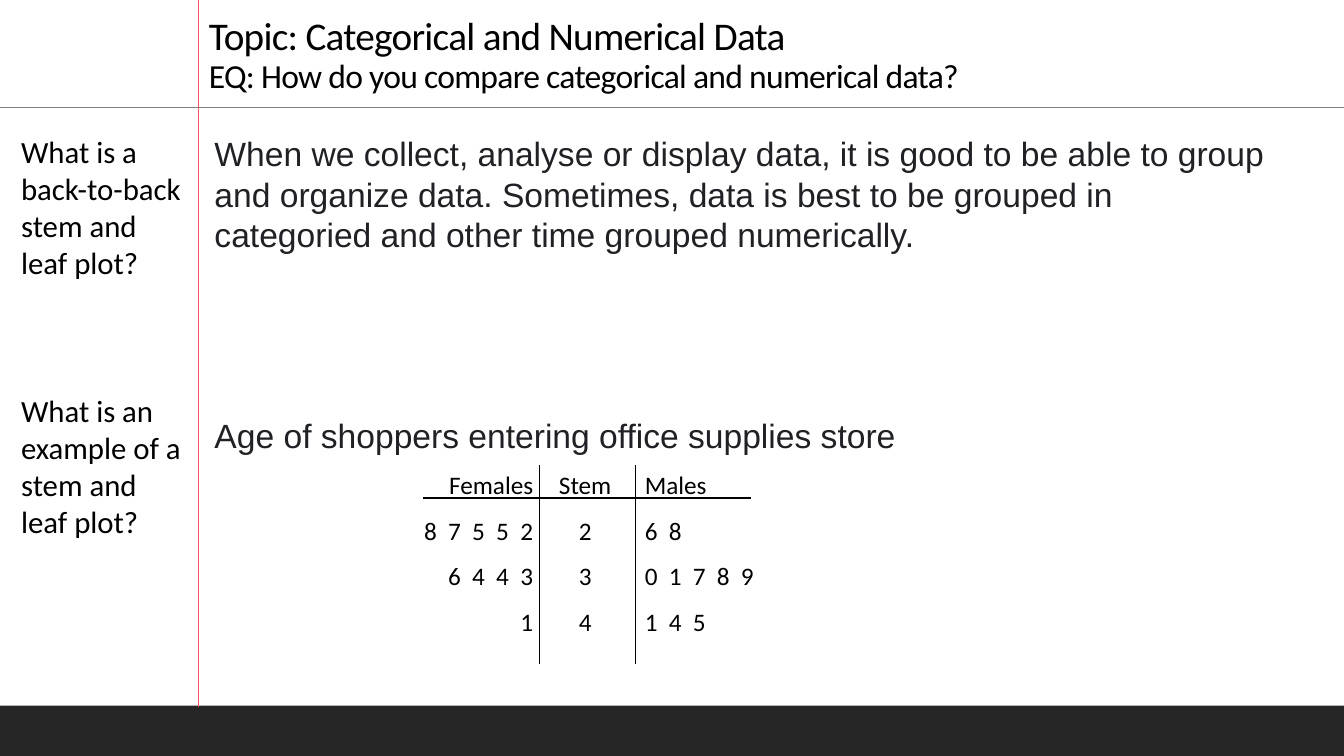
from pptx import Presentation
from pptx.dml.color import RGBColor
from pptx.enum.shapes import MSO_CONNECTOR, MSO_SHAPE
from pptx.enum.text import MSO_ANCHOR, MSO_AUTO_SIZE, PP_ALIGN
from pptx.oxml.ns import qn
from pptx.util import Pt
from lxml.etree import SubElement

BLACK = RGBColor(0, 0, 0)
INK = RGBColor(0x20, 0x21, 0x24)
MARGIN_RED = RGBColor(0xF5, 0x53, 0x5F)
RULE_GREY = RGBColor(0x7F, 0x7F, 0x7F)
FOOTER = RGBColor(0x26, 0x26, 0x26)

WIDTH, HEIGHT = 960, 540
MARGIN_X, HEADER_Y, FOOTER_Y = 142, 77, 504
TEXT_TOP = 91.5
STEM_TOP, STEM_BOTTOM = 332, 474.5
LINE_RATIO = 1.2
STEM_PLOT = (
    (288, 100, PP_ALIGN.RIGHT, "Females", ("8 7 5 5 2", "6 4 4 3", "1")),
    (384, 68, PP_ALIGN.CENTER, "Stem", ("2", "3", "4")),
    (453.5, 100, PP_ALIGN.LEFT, "Males", ("6 8", "0 1 7 8 9", "1 4 5")),
)


def write(paragraph, text, size=18, face="Calibri", color=BLACK, tracking=0):
    run = paragraph.add_run()
    run.text = text
    run.font.size = Pt(size)
    run.font.name = face
    run.font.color.rgb = color
    if tracking:
        run.font._element.set("spc", str(round(tracking * 100)))


class NotesSlide:
    def __init__(self, presentation):
        self.slide = presentation.slides.add_slide(presentation.slide_layouts[1])
        self.shapes = self.slide.shapes

    def band(self, left, top, width, height, color):
        band = self.shapes.add_shape(
            MSO_SHAPE.RECTANGLE, Pt(left), Pt(top), Pt(width), Pt(height))
        band.shadow.inherit = False
        band.fill.solid()
        band.fill.fore_color.rgb = color
        band.line.fill.background()

    def rule(self, x1, y1, x2, y2, color=BLACK, weight=1):
        rule = self.shapes.add_connector(
            MSO_CONNECTOR.STRAIGHT, Pt(x1), Pt(y1), Pt(x2), Pt(y2))
        rule.line.color.rgb = color
        rule.line.width = Pt(weight)
        SubElement(rule._element.spPr, qn("a:effectLst"))

    def frame(self, left, top, width, height, holder=None, anchor=MSO_ANCHOR.TOP):
        if holder is None:
            holder = self.shapes.add_textbox(0, 0, 0, 0)
        holder.left, holder.top = Pt(left), Pt(top)
        holder.width, holder.height = Pt(width), Pt(height)
        frame = holder.text_frame
        frame.word_wrap = True
        frame.auto_size = MSO_AUTO_SIZE.NONE
        frame.vertical_anchor = anchor
        return frame

    def paragraph(self, frame, first, spacing, before=0, align=PP_ALIGN.LEFT):
        paragraph = frame.paragraphs[0] if first else frame.add_paragraph()
        properties = paragraph._p.get_or_add_pPr()
        properties.set("marL", "0")
        properties.set("indent", "0")
        SubElement(properties, qn("a:buNone"))
        paragraph.alignment = align
        paragraph.line_spacing = spacing
        paragraph.space_before = Pt(before)
        return paragraph

    def heading(self, topic, question):
        frame = self.frame(MARGIN_X, 3.5, 792, 68.5,
                           self.shapes.title, MSO_ANCHOR.BOTTOM)
        paragraph = self.paragraph(frame, True, 0.9)
        write(paragraph, topic, size=28, tracking=-0.5)
        paragraph.add_line_break()
        write(paragraph, question, size=24, tracking=-0.5)

    def column(self, frame, texts, gap_lines, size, **style):
        pitch = size * LINE_RATIO
        for index, text in enumerate(texts):
            before = gap_lines * pitch if index else 0
            paragraph = self.paragraph(frame, index == 0, Pt(pitch), before)
            write(paragraph, text, size=size, **style)

    def leaf_column(self, left, width, align, heading, leaves):
        frame = self.frame(left, STEM_TOP, width, 126)
        pitch = 18 * LINE_RATIO
        write(self.paragraph(frame, True, Pt(pitch), align=align), heading)
        for leaf in leaves:
            row = self.paragraph(frame, False, Pt(pitch * 1.5), align=align)
            write(row, leaf, tracking=2)


def main():
    presentation = Presentation()
    presentation.slide_width = Pt(WIDTH)
    presentation.slide_height = Pt(HEIGHT)
    notes = NotesSlide(presentation)

    notes.band(0, FOOTER_Y, WIDTH, HEIGHT - FOOTER_Y, FOOTER)
    notes.rule(MARGIN_X, 0, MARGIN_X, FOOTER_Y + 1, MARGIN_RED)
    notes.rule(0, HEADER_Y, WIDTH, HEADER_Y, RULE_GREY)

    notes.heading("Topic: Categorical and Numerical Data",
                  "EQ: How do you compare categorical and numerical data?")
    questions = notes.frame(8, TEXT_TOP, 134, 300)
    notes.column(questions, (
        "What is a back-to-back stem and leaf plot?",
        "What is an example of a stem and leaf plot?",
    ), gap_lines=3, size=22)
    answers = notes.frame(146, TEXT_TOP, 770.5, 262, notes.slide.placeholders[1])
    notes.column(answers, (
        "When we collect, analyse or display data, it is good to be able to group "
        "and organize data. Sometimes, data is best to be grouped in categoried "
        "and other time grouped numerically.",
        "Age of shoppers entering office supplies store",
    ), gap_lines=4, size=24, face="Arial", color=INK)

    for x in (385.5, 454):
        notes.rule(x, STEM_TOP, x, STEM_BOTTOM)
    notes.rule(302.5, 355.5, 536.5, 355.5, weight=1.5)
    for leaf_column in STEM_PLOT:
        notes.leaf_column(*leaf_column)

    presentation.save("out.pptx")


if __name__ == "__main__":
    main()
